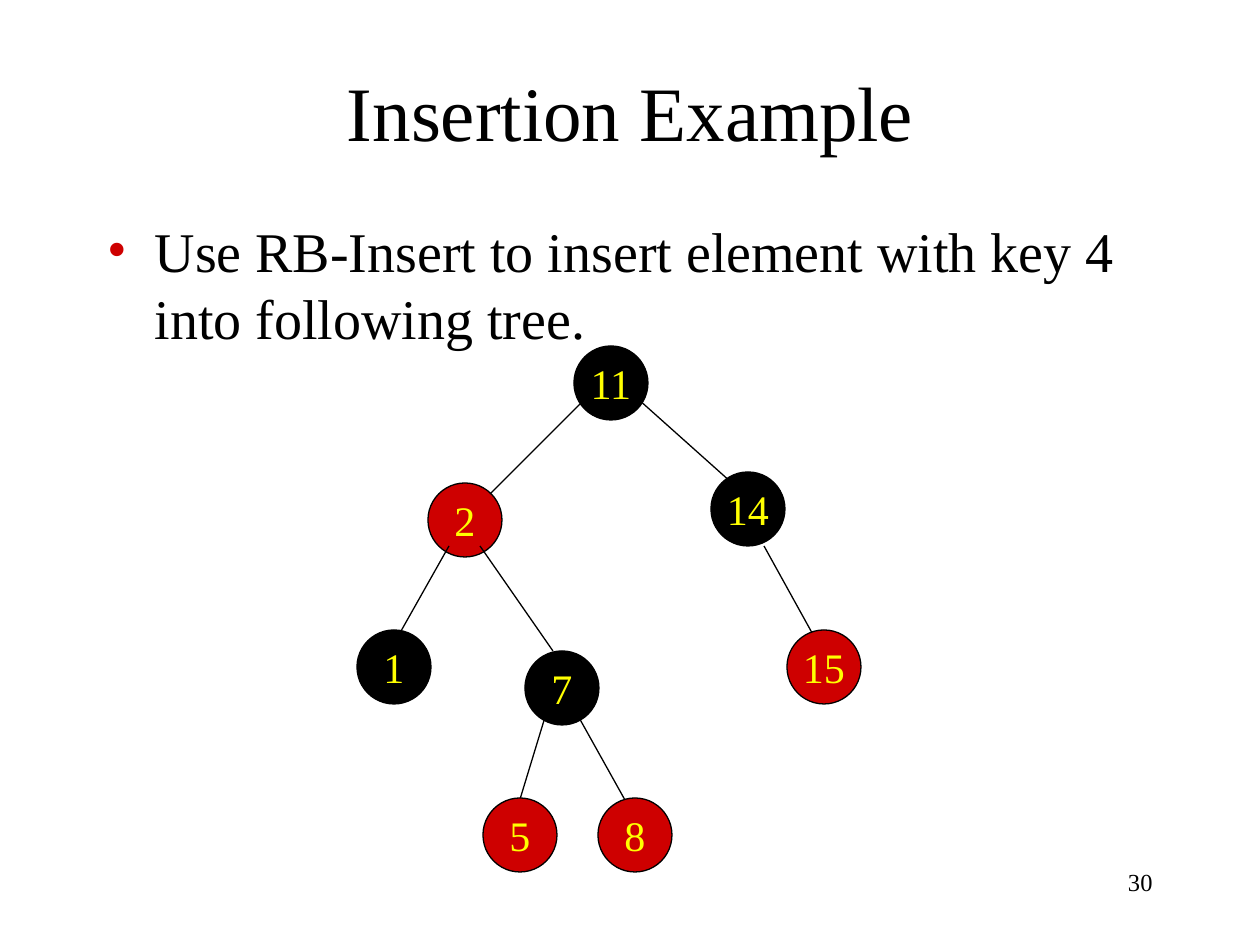
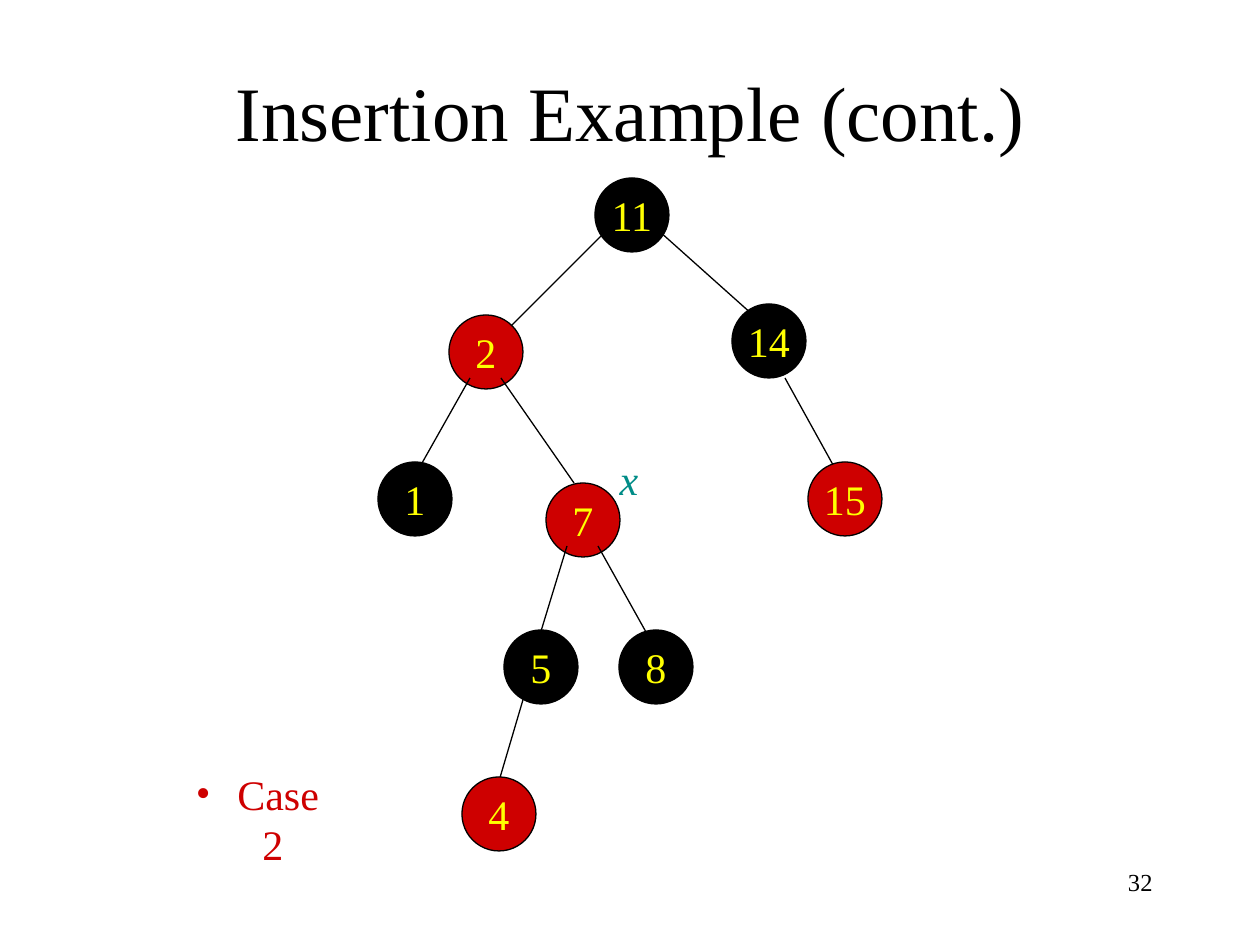
from lxml import etree
from pptx import Presentation
from pptx.dml.color import RGBColor
from pptx.enum.shapes import MSO_CONNECTOR, MSO_SHAPE
from pptx.enum.text import MSO_ANCHOR, MSO_AUTO_SIZE, PP_ALIGN
from pptx.oxml.ns import qn
from pptx.util import Emu, Pt

STRAIGHT, OVAL = MSO_CONNECTOR.STRAIGHT, MSO_SHAPE.OVAL
TOP, MIDDLE = MSO_ANCHOR.TOP, MSO_ANCHOR.MIDDLE
LEFT, CENTER, RIGHT = PP_ALIGN.LEFT, PP_ALIGN.CENTER, PP_ALIGN.RIGHT
NO_FIT = MSO_AUTO_SIZE.NONE

BLACK = RGBColor(0x00, 0x00, 0x00)
RED = RGBColor(0xCE, 0x00, 0x00)
YELLOW = RGBColor(0xFF, 0xFF, 0x00)
TEAL = RGBColor(0x00, 0x8C, 0x87)

FONT = "Times New Roman"
EMU_PER_INCH, PX_PER_INCH = 914400, 126
TITLE_AND_BODY, TITLE_ONLY = 1, 5
NODE_SIZE = 74
THIN = Pt(0.75)

# Top left corner of each node, measured from the root's corner
NODES = {
    11: (0, 0), 2: (-146, 137), 14: (137, 126), 1: (-217, 284), 7: (-49, 305),
    15: (213, 284), 5: (-91, 452), 8: (24, 452), 4: (-133, 599),
}
# Parent, child, start and end of each edge, measured the same way
EDGES = [
    (11, 2, (11, 53), (-84, 148)),
    (11, 14, (64, 53), (158, 137)),
    (2, 1, (-125, 200), (-178, 294)),
    (2, 7, (-94, 200), (-21, 305)),
    (14, 15, (190, 200), (242, 294)),
    (7, 8, (3, 368), (56, 463)),
    (7, 5, (-28, 368), (-60, 473)),
    (5, 4, (-70, 515), (-101, 620)),
]


def px(*lengths):
    return [Emu(round(n * EMU_PER_INCH / PX_PER_INCH)) for n in lengths]


def place(shape, *area):
    shape.left, shape.top, shape.width, shape.height = px(*area)


def write(shape, text, size, color, align=CENTER, anchor=TOP, wrap=True, italic=False):
    """Fill a shape with one paragraph and return that paragraph."""
    frame = shape.text_frame
    frame.auto_size = NO_FIT
    frame.word_wrap = wrap
    frame.vertical_anchor = anchor
    para = frame.paragraphs[0]
    para.alignment = align
    para.space_before = Pt(0)
    span = para.add_run()
    span.text = text
    span.font.name = FONT
    span.font.size = Pt(size)
    span.font.italic = italic
    span.font.color.rgb = color
    return para


def add_bullet(para, indent):
    """Give a paragraph a red bullet hanging by indent px."""
    hang = px(indent)[0]
    props = para._p.get_or_add_pPr()
    props.set("marL", str(hang))
    props.set("indent", str(-hang))
    color = etree.SubElement(props, qn("a:buClr"))
    etree.SubElement(color, qn("a:srgbClr"), val=str(RED))
    etree.SubElement(props, qn("a:buFont"), typeface=FONT)
    etree.SubElement(props, qn("a:buChar"), char="•")


def add_label(page, area, text, size, color, **style):
    box = page.shapes.add_textbox(*px(*area))
    return write(box, text, size, color, **style)


def add_page(deck, layout, title, number):
    page = deck.slides.add_slide(deck.slide_layouts[layout])
    place(page.shapes.title, 95, 32, 1071, 158)
    write(page.shapes.title, title, 44, BLACK, anchor=MIDDLE)
    add_label(page, (903, 861, 262, 63), number, 14, BLACK, align=RIGHT)
    return page


def add_node(page, left, top, key, color):
    node = page.shapes.add_shape(OVAL, *px(left, top, NODE_SIZE, NODE_SIZE))
    node.shadow.inherit = False
    node.fill.solid()
    node.fill.fore_color.rgb = color
    node.line.color.rgb = BLACK
    node.line.width = THIN
    write(node, str(key), 24, YELLOW, anchor=MIDDLE, wrap=False)


def add_edge(page, start, end):
    edge = page.shapes.add_connector(STRAIGHT, *px(*start, *end))
    edge.line.color.rgb = BLACK
    edge.line.width = THIN
    etree.SubElement(edge._element.spPr, qn("a:effectLst"))


def add_tree(page, root, keys, red_keys):
    """Draw the tree with its root's corner at root; edges lie above parents, below leaves."""
    def from_root(point):
        return root[0] + point[0], root[1] + point[1]

    def add_nodes(chosen):
        for key in chosen:
            add_node(page, *from_root(NODES[key]), key, RED if key in red_keys else BLACK)

    edges = [edge for edge in EDGES if edge[1] in keys]
    parents = {edge[0] for edge in edges}
    add_nodes(key for key in keys if key in parents)
    for _, _, start, end in edges:
        add_edge(page, from_root(start), from_root(end))
    add_nodes(key for key in keys if key not in parents)


def add_start_page(deck):
    page = add_page(deck, TITLE_AND_BODY, "Insertion Example", "30")
    body = page.placeholders[1]
    place(body, 95, 210, 1071, 630)
    task = "Use RB-Insert to insert element with key 4 into following tree."
    add_bullet(write(body, task, 32, BLACK, align=LEFT), 47)
    keys = [key for key in NODES if key != 4]
    add_tree(page, (574, 346), keys, red_keys={2, 5, 8, 15})


def add_case_page(deck):
    page = add_page(deck, TITLE_ONLY, "Insertion Example (cont.)", "32")
    add_tree(page, (595, 178), list(NODES), red_keys={2, 4, 7, 15})
    add_bullet(add_label(page, (176, 762, 163, 63), " Case 2", 24, RED), 31)
    add_label(page, (607, 447, 44, 63), "x", 24, TEAL, wrap=False, italic=True)


def main():
    deck = Presentation()
    deck.slide_width, deck.slide_height = px(1260, 945)
    add_start_page(deck)
    add_case_page(deck)
    deck.save("out.pptx")


if __name__ == "__main__":
    main()
